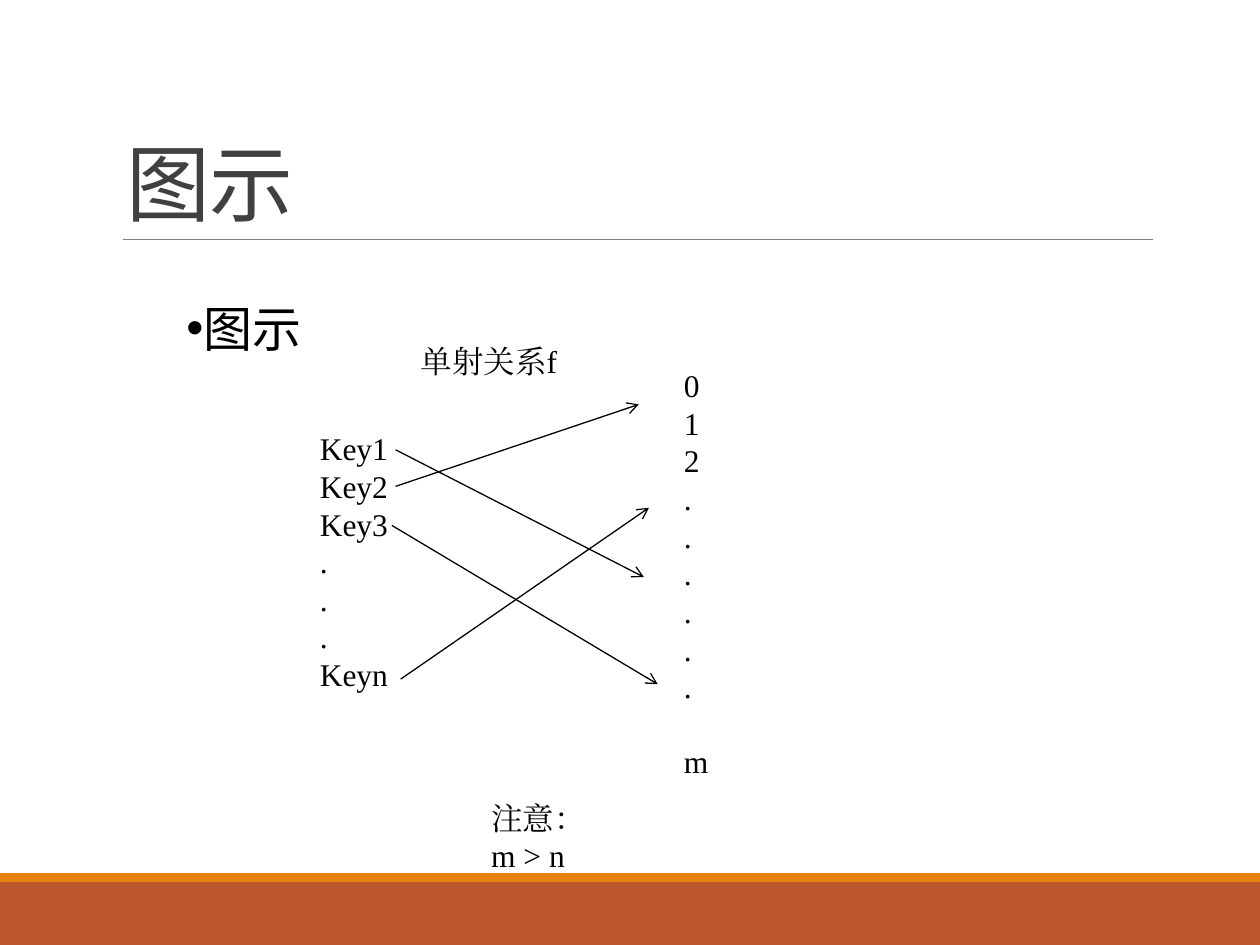
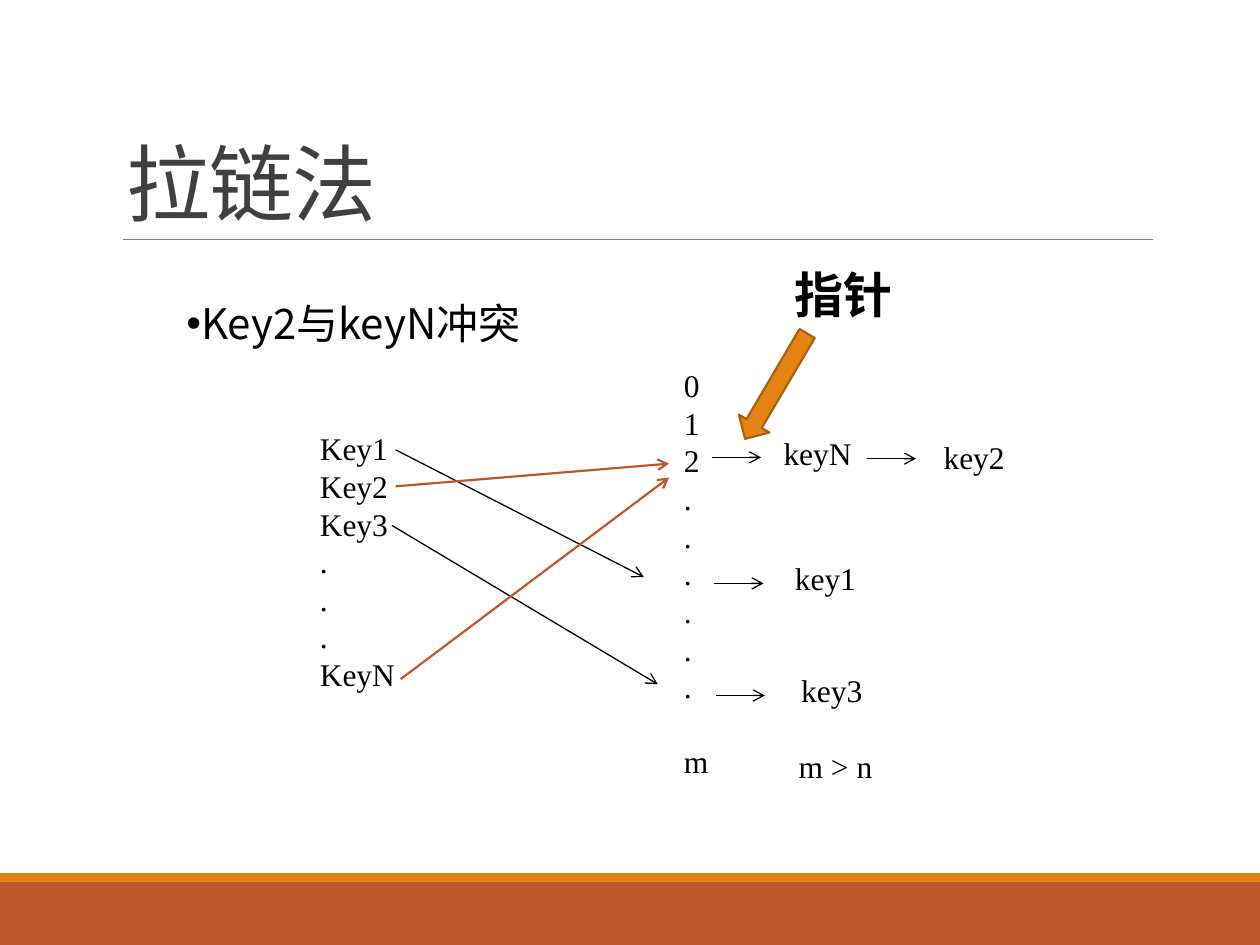
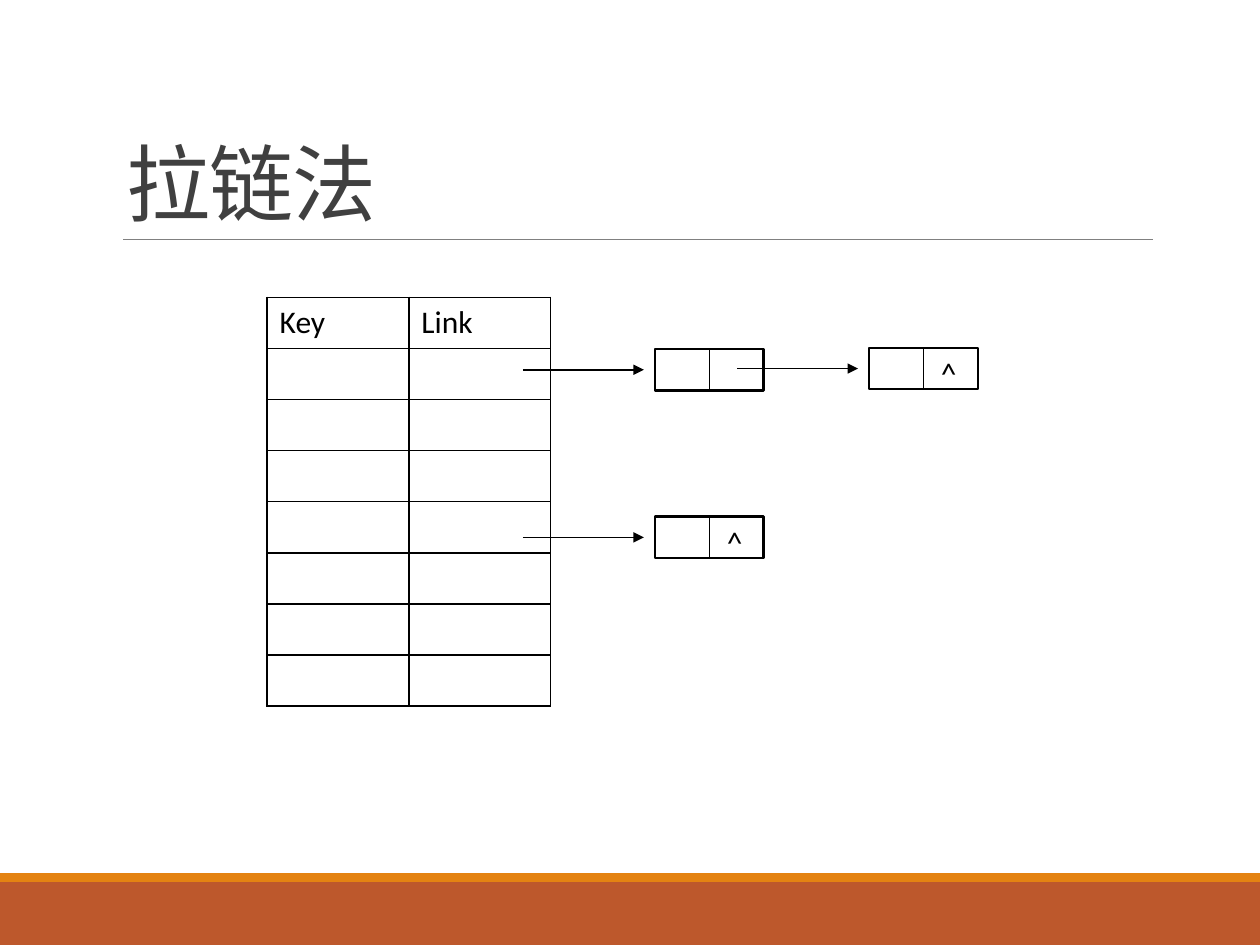
from dataclasses import dataclass

from lxml.etree import SubElement
from pptx import Presentation
from pptx.dml.color import RGBColor
from pptx.enum.shapes import MSO_CONNECTOR, MSO_SHAPE
from pptx.enum.text import MSO_ANCHOR, MSO_AUTO_SIZE, PP_ALIGN
from pptx.oxml.ns import qn
from pptx.util import Inches, Pt


@dataclass(frozen=True)
class Theme:
    black: str = "000000"
    title: str = "404040"
    rule: str = "808080"
    rust: str = "BD582C"
    orange: str = "E48312"
    brown: str = "A9610D"
    sans: str = "Calibri"
    serif: str = "Times New Roman"
    cjk: str = "Noto Sans CJK SC"
    title_size: int = 48
    heading_size: int = 28
    bullet_size: int = 24
    text_size: int = 18
    text_leading: float = 21.5
    heading_leading: float = 1.3  # multiple of the type size


THEME = Theme()


def write(frame, text, *, size=THEME.text_size, face=THEME.serif, color=THEME.black,
          bold=False, leading=None, tracking=None, bullet=None, anchor=MSO_ANCHOR.TOP):
    """Fill a text frame with one paragraph per line; leading is a multiple or a Pt length."""
    frame.word_wrap = True
    frame.auto_size = MSO_AUTO_SIZE.NONE
    frame.vertical_anchor = anchor
    for number, line in enumerate(text.split("\n")):
        paragraph = frame.add_paragraph() if number else frame.paragraphs[0]
        if bullet:
            properties = paragraph._p.get_or_add_pPr()
            properties.set("marL", "0")
            properties.set("indent", "0")
            SubElement(properties, qn("a:buChar"), char=bullet)
        paragraph.alignment = PP_ALIGN.LEFT
        paragraph.space_before = Pt(0)
        if leading:
            paragraph.line_spacing = leading
        run = paragraph.add_run()
        run.text = line
        run.font.size = Pt(size)
        run.font.bold = bold
        run.font.color.rgb = RGBColor.from_string(color)
        run.font.name = face
        run_properties = run._r.get_or_add_rPr()
        SubElement(run_properties, qn("a:ea"), typeface=face)
        if tracking:
            run_properties.set("spc", str(tracking))


def draw_line(slide, start, end, *, color=THEME.black, width=0.75, head=None):
    line = slide.shapes.add_connector(MSO_CONNECTOR.STRAIGHT, *map(Inches, start + end))
    line.line.color.rgb = RGBColor.from_string(color)
    line.line.width = Pt(width)
    if head:
        SubElement(line.get_or_add_ln(), qn("a:tailEnd"), type=head)
    SubElement(line.element.spPr, qn("a:effectLst"))
    return line


prs = Presentation()
prs.slide_width, prs.slide_height = Inches(10), Inches(7.5)
content_layout, title_layout = prs.slide_layouts[1], prs.slide_layouts[5]
mapping, chaining, structure = [
    prs.slides.add_slide(layout)
    for layout in (content_layout, content_layout, title_layout)
]

# Footer bands and title rule, shared through the slide master
decorations = []
for top, height, color in ((7, 0.5, THEME.rust), (6.93, 0.07, THEME.orange)):
    band = mapping.shapes.add_shape(
        MSO_SHAPE.RECTANGLE, 0, Inches(top), prs.slide_width, Inches(height))
    band.shadow.inherit = False
    band.fill.solid()
    band.fill.fore_color.rgb = RGBColor.from_string(color)
    band.line.fill.background()
    decorations.append(band)
decorations.append(
    draw_line(mapping, (0.98, 1.9), (9.15, 1.9), color=THEME.rule, width=0.5))
for shape_id, decoration in enumerate(decorations, 101):
    decoration.element.xpath("./*/p:cNvPr")[0].set("id", str(shape_id))
    prs.slide_master.shapes.element.append(decoration.element)

# Titles
for slide, heading in ((mapping, "图示"), (chaining, "拉链法"), (structure, "拉链法")):
    title = slide.shapes.title
    title.left, title.top, title.width, title.height = map(Inches, (0.9, 0.31, 8.25, 1.59))
    write(title.text_frame, heading, size=THEME.title_size, face=THEME.sans,
          color=THEME.title, leading=0.85, tracking=-50, anchor=MSO_ANCHOR.BOTTOM)

# Bullet, key column and slot column of the two hash diagrams
for slide, point, size, height, last_key in (
    (mapping, "图示", THEME.heading_size, 0.57, "Keyn"),
    (chaining, "Key2与keyN冲突", THEME.bullet_size, 0.51, "KeyN"),
):
    body = slide.placeholders[1]
    body.left, body.top, body.width, body.height = map(Inches, (1.38, 2.28, 7.44, height))
    write(body.text_frame, point, size=size, face=THEME.cjk, bullet="•",
          leading=Pt(size * THEME.heading_leading))

    keys = slide.shapes.add_textbox(*map(Inches, (2.44, 3.36, 0.97, 2.22)))
    write(keys.text_frame, "\n".join(["Key1", "Key2", "Key3", *"...", last_key]),
          leading=Pt(THEME.text_leading))
    slots = slide.shapes.add_textbox(*map(Inches, (5.33, 2.86, 0.97, 3.43)))
    write(slots.text_frame, "\n".join([*"012......", "m"]), leading=Pt(THEME.text_leading))
    slots.text_frame.paragraphs[-1].space_before = Pt(THEME.text_leading)

    draw_line(slide, (3.14, 3.57), (5.11, 4.58), head="arrow")
    draw_line(slide, (3.11, 4.17), (5.22, 5.43), head="arrow")

# Key2 and the last key: separate slots, then one shared slot
key2, last = (3.14, 3.86), (3.18, 5.39)
for start, end in ((key2, (5.07, 3.21)), (last, (5.15, 4.03))):
    draw_line(mapping, start, end, head="arrow")
for start, end in ((key2, (5.31, 3.68)), (last, (5.31, 3.79))):
    draw_line(chaining, start, end, color=THEME.rust, width=1.25, head="arrow")

# Labels around the diagrams
for slide, text, box in (
    (mapping, "单射关系f", (3.24, 2.67, 1.58, 0.4)),
    (mapping, "注意：\nm > n", (3.8, 6.29, 1.73, 0.71)),
    (chaining, "m > n", (6.24, 5.88, 1.19, 0.4)),
    (chaining, "keyN", (6.12, 3.4, 0.79, 0.4)),
    (chaining, "key2", (7.39, 3.43, 0.72, 0.4)),
    (chaining, "key1", (6.21, 4.39, 0.72, 0.4)),
    (chaining, "key3", (6.26, 5.28, 0.72, 0.4)),
):
    label = slide.shapes.add_textbox(*map(Inches, box))
    write(label.text_frame, text, leading=Pt(THEME.text_leading))

# Links from the slots to the chained keys
for left, top in ((5.65, 3.63), (6.88, 3.64), (5.67, 4.63), (5.68, 5.52)):
    draw_line(chaining, (left, top), (left + 0.39, top), head="arrow")

# Pointer callout
pointer = chaining.shapes.add_shape(
    MSO_SHAPE.DOWN_ARROW, *map(Inches, (6.02, 2.58, 0.28, 0.97)))
pointer.rotation = 30.5
pointer.shadow.inherit = False
pointer.fill.solid()
pointer.fill.fore_color.rgb = RGBColor.from_string(THEME.orange)
pointer.line.color.rgb = RGBColor.from_string(THEME.brown)
pointer.line.width = Pt(1.25)
pointer_label = chaining.shapes.add_textbox(*map(Inches, (6.21, 2.01, 1.16, 0.57)))
write(pointer_label.text_frame, "指针", size=THEME.heading_size, face=THEME.cjk, bold=True,
      leading=Pt(THEME.heading_size * THEME.heading_leading))

# Hash table with Key and Link columns
row_count, column_count = 8, 2
hash_table = structure.shapes.add_table(
    row_count, column_count, *map(Inches, (2.12, 2.36, 2.25, 3.24))).table
hash_table.first_row = hash_table.horz_banding = False
for cell in hash_table.iter_cells():
    cell.fill.background()
    cell_properties = cell._tc.get_or_add_tcPr()
    for position, side in enumerate(("a:lnL", "a:lnR", "a:lnT", "a:lnB")):
        border = SubElement(cell_properties, qn(side), w=str(Pt(1)))
        SubElement(SubElement(border, qn("a:solidFill")), qn("a:srgbClr"), val=THEME.black)
        cell_properties.insert(position, border)
for column, heading in enumerate(("Key", "Link")):
    write(hash_table.cell(0, column).text_frame, heading, face=THEME.sans)

# Chain nodes: a box split in two, reached by an arrow; the last of a chain holds ^
node_width, node_height = 0.86, 0.33
for left, top, is_last in ((5.2, 2.77, False), (5.2, 4.1, True), (6.9, 2.76, True)):
    node = structure.shapes.add_shape(
        MSO_SHAPE.RECTANGLE, *map(Inches, (left, top, node_width, node_height)))
    node.shadow.inherit = False
    node.fill.background()
    node.line.color.rgb = RGBColor.from_string(THEME.black)
    node.line.width = Pt(1.25)
    middle = left + node_width / 2
    divider = draw_line(structure, (middle, top), (middle, top + node_height), width=1)
    divider.begin_connect(node, 0)
    divider.end_connect(node, 2)
    link_y = top + node_height / 2
    draw_line(structure, (left - 1.05, link_y), (left - 0.09, link_y),
              width=1, head="triangle")
    if is_last:
        end_mark = structure.shapes.add_textbox(
            *map(Inches, (middle + 0.04, top, 0.34, 0.4)))
        write(end_mark.text_frame, "^", face=THEME.sans)

prs.save("out.pptx")
